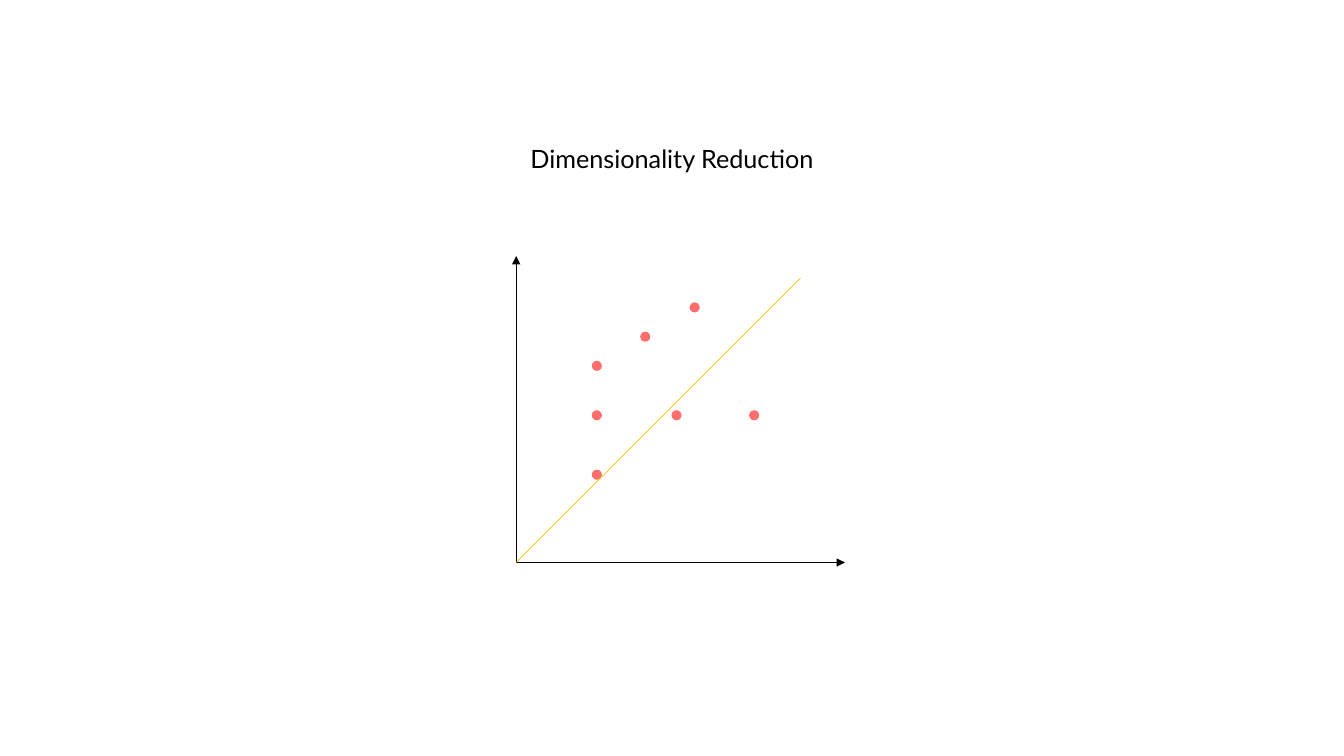
from lxml import etree
from pptx import Presentation
from pptx.dml.color import RGBColor
from pptx.enum.shapes import MSO_CONNECTOR, MSO_SHAPE
from pptx.enum.text import MSO_AUTO_SIZE, PP_ALIGN
from pptx.oxml.ns import qn
from pptx.util import Pt

PX = 9144  # EMU per px, 100 px to the inch
COLORS = {"ink": "000000", "point": "FF6D6D", "projection": "FFC000"}
ORIGIN = (512, 558)
DOT_SIZE = 10


def color(name):
    return RGBColor.from_string(COLORS[name])


def add_line_from_origin(page, end, color_name, width, arrow=False):
    ends = [length * PX for length in (*ORIGIN, *end)]
    line = page.shapes.add_connector(MSO_CONNECTOR.STRAIGHT, *ends)
    line.line.color.rgb = color(color_name)
    line.line.width = Pt(width)
    if arrow:
        outline = line.line._get_or_add_ln()
        etree.SubElement(outline, qn("a:tailEnd"), type="triangle")
    etree.SubElement(line._element.spPr, qn("a:effectLst"))


deck = Presentation()
deck.slide_width = 1333 * PX
deck.slide_height = 750 * PX
page = deck.slides.add_slide(deck.slide_layouts[6])

# Title
title = page.shapes.add_textbox(500 * PX, 137 * PX, 333 * PX, 40 * PX)
frame = title.text_frame
frame.word_wrap = True
frame.auto_size = MSO_AUTO_SIZE.SHAPE_TO_FIT_TEXT
frame.text = "Dimensionality Reduction"
para = frame.paragraphs[0]
para.alignment = PP_ALIGN.CENTER
span = para.runs[0]
span.font.name = "Lato"
span.font.size = Pt(18)
span.font.color.rgb = color("ink")

# Axes
for axis_end in [(838, 558), (512, 254)]:
    add_line_from_origin(page, axis_end, "ink", 0.25, arrow=True)

# Data points, by left and top
for left, top in [(587, 466), (684, 300), (635, 329), (743, 407),
                  (587, 358), (587, 407), (666, 407)]:
    dot = page.shapes.add_shape(
        MSO_SHAPE.OVAL, left * PX, top * PX, DOT_SIZE * PX, DOT_SIZE * PX)
    dot.shadow.inherit = False
    dot.fill.solid()
    dot.fill.fore_color.rgb = color("point")
    dot.line.fill.background()

# Projection line
add_line_from_origin(page, (794, 276), "projection", 0.5)

deck.save("out.pptx")
